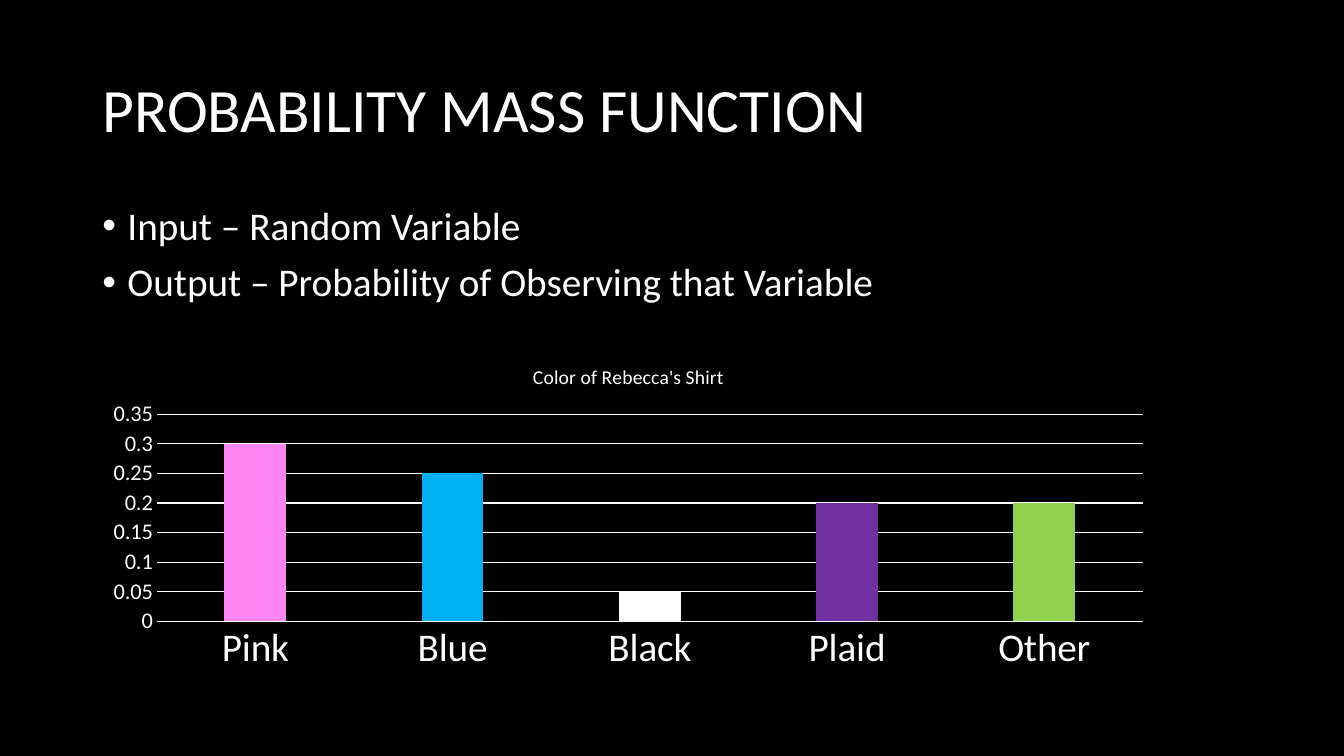
import pptx
import pptx.chart.data
import pptx.dml.color
import pptx.enum.chart
import pptx.enum.text
import pptx.oxml
import pptx.oxml.ns
import pptx.util

BLACK = pptx.dml.color.RGBColor(0x00, 0x00, 0x00)
WHITE = pptx.dml.color.RGBColor(0xFF, 0xFF, 0xFF)
PINK = pptx.dml.color.RGBColor(0xFC, 0x85, 0xF2)
BLUE = pptx.dml.color.RGBColor(0x00, 0xB0, 0xF0)
PURPLE = pptx.dml.color.RGBColor(0x70, 0x30, 0xA0)
GREEN = pptx.dml.color.RGBColor(0x92, 0xD0, 0x50)

EMU_PER_PX = 9525
TITLE_ONLY_LAYOUT = 5

SHIRTS = [
    ("Pink", 0.3, PINK),
    ("Blue", 0.25, BLUE),
    ("Black", 0.05, WHITE),
    ("Plaid", 0.2, PURPLE),
    ("Other", 0.2, GREEN),
]


def px(length):
    return pptx.util.Emu(length * EMU_PER_PX)


class SlideBuilder:
    font_name = "Calibri"
    color = WHITE
    line_spacing = 0.9

    def __init__(self, deck):
        self.slide = deck.slides.add_slide(deck.slide_layouts[TITLE_ONLY_LAYOUT])
        fill = self.slide.background.fill
        fill.solid()
        fill.fore_color.rgb = BLACK

    def style_font(self, font, size):
        font.name = self.font_name
        font.size = pptx.util.Pt(size)
        font.bold = False
        font.color.rgb = self.color

    def style_line(self, line):
        line.color.rgb = self.color
        line.width = pptx.util.Pt(0.75)

    def title(self, text, left, top, width, height):
        box = self.slide.shapes.title
        box.left, box.top, box.width, box.height = map(px, (left, top, width, height))
        frame = box.text_frame
        frame.text = text
        frame.word_wrap = True
        frame.vertical_anchor = pptx.enum.text.MSO_ANCHOR.MIDDLE
        para = frame.paragraphs[0]
        para.alignment = pptx.enum.text.PP_ALIGN.LEFT
        para.line_spacing = self.line_spacing
        self.style_font(para.runs[0].font, 44)

    def bullets(self, lines, left, top, width, height):
        box = self.slide.shapes.add_textbox(*map(px, (left, top, width, height)))
        frame = box.text_frame
        frame.word_wrap = True
        frame.text = "\n".join(lines)
        for index, para in enumerate(frame.paragraphs):
            para.line_spacing = self.line_spacing
            para.space_before = pptx.util.Pt(10 if index else 0)
            properties = para._p.get_or_add_pPr()
            properties.set("marL", str(px(24)))
            properties.set("indent", str(px(-24)))
            namespace = pptx.oxml.ns.nsdecls("a")
            properties.append(pptx.oxml.parse_xml(f'<a:buFont {namespace} typeface="Arial"/>'))
            properties.append(pptx.oxml.parse_xml(f'<a:buChar {namespace} char="•"/>'))
            self.style_font(para.runs[0].font, 28)

    def column_chart(self, title, rows, left, top, width, height):
        names, values, colors = zip(*rows)
        data = pptx.chart.data.CategoryChartData()
        data.categories = names
        data.add_series("Series 1", values)
        chart = self.slide.shapes.add_chart(
            pptx.enum.chart.XL_CHART_TYPE.COLUMN_CLUSTERED,
            *map(px, (left, top, width, height)),
            data,
        ).chart
        self.style_font(chart.font, 10)
        chart.has_legend = False
        chart.has_title = True
        heading = chart.chart_title.text_frame
        heading.text = title
        self.style_font(heading.paragraphs[0].runs[0].font, 14)

        plot = chart.plots[0]
        plot.vary_by_categories = False
        plot.gap_width = 219
        plot.overlap = -27
        for index, color in enumerate(colors):
            fill = plot.series[0].points[index].format.fill
            fill.solid()
            fill.fore_color.rgb = color

        for axis, size in ((chart.category_axis, 28), (chart.value_axis, 16)):
            axis.major_tick_mark = pptx.enum.chart.XL_TICK_MARK.NONE
            axis.minor_tick_mark = pptx.enum.chart.XL_TICK_MARK.NONE
            self.style_font(axis.tick_labels.font, size)
        self.style_line(chart.category_axis.format.line)
        chart.value_axis.format.line.fill.background()
        chart.value_axis.minimum_scale = 0
        chart.value_axis.maximum_scale = 0.35
        chart.value_axis.major_unit = 0.05
        chart.value_axis.tick_labels.number_format = "General"
        chart.value_axis.tick_labels.number_format_is_linked = False
        self.style_line(chart.value_axis.major_gridlines.format.line)

        plot_area = chart._chartSpace.chart.plotArea
        for layout in plot_area.findall(pptx.oxml.ns.qn("c:layout")):
            plot_area.remove(layout)
        plot_area.insert(0, pptx.oxml.parse_xml(
            f'<c:layout {pptx.oxml.ns.nsdecls("c")}><c:manualLayout>'
            '<c:layoutTarget val="inner"/><c:xMode val="edge"/><c:yMode val="edge"/>'
            '<c:x val="0.06"/><c:y val="0.2"/><c:w val="0.92"/><c:h val="0.62"/>'
            '</c:manualLayout></c:layout>'
        ))


def main():
    deck = pptx.Presentation()
    deck.slide_width, deck.slide_height = px(1280), px(720)
    page = SlideBuilder(deck)
    page.title("PROBABILITY MASS FUNCTION", 88, 38, 1104, 139)
    page.bullets(
        ["Input – Random Variable", "Output – Probability of Observing that Variable"],
        88, 192, 1104, 457,
    )
    page.column_chart("Color of Rebecca's Shirt", SHIRTS, 88, 331, 1021, 318)
    deck.save("out.pptx")


if __name__ == "__main__":
    main()
